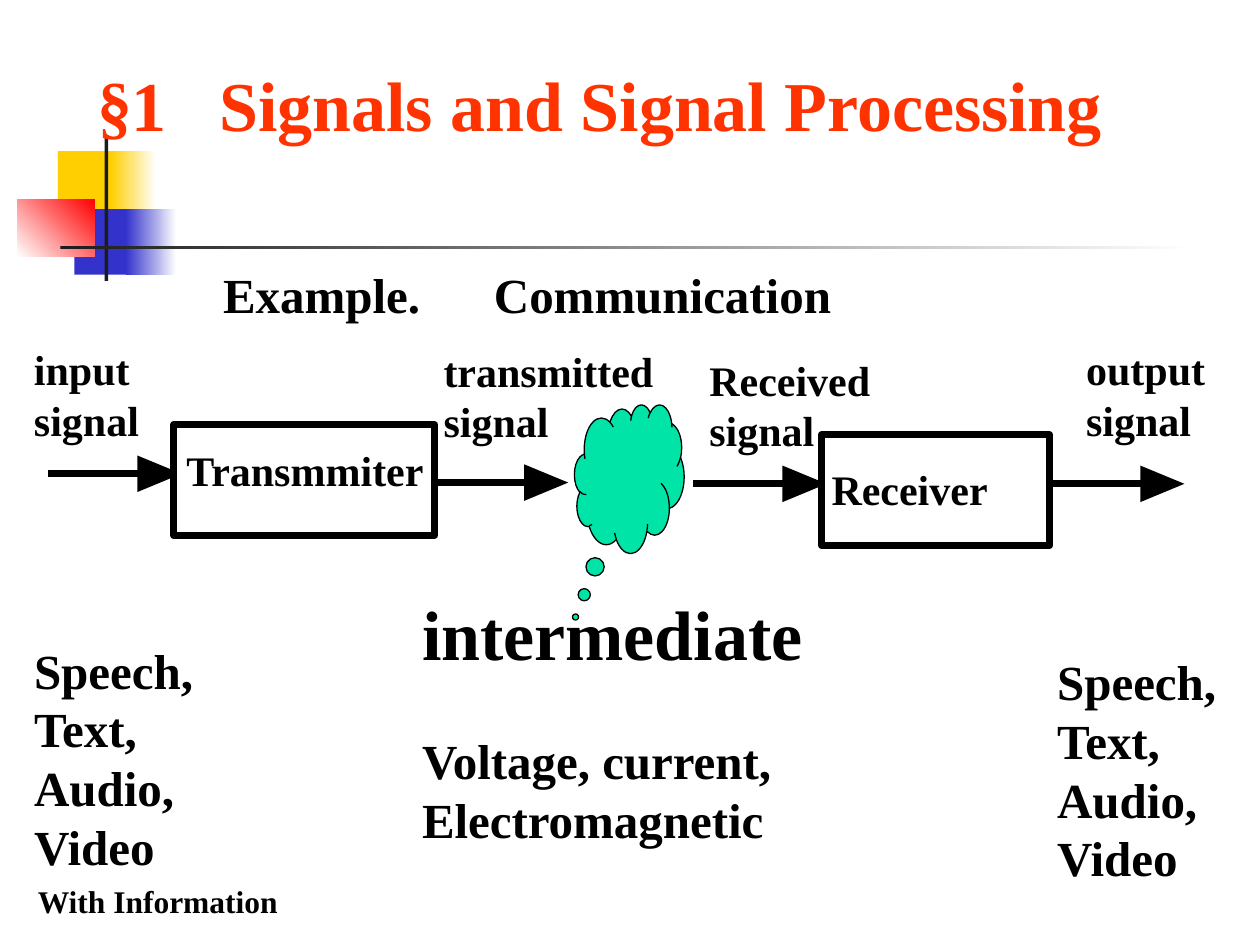
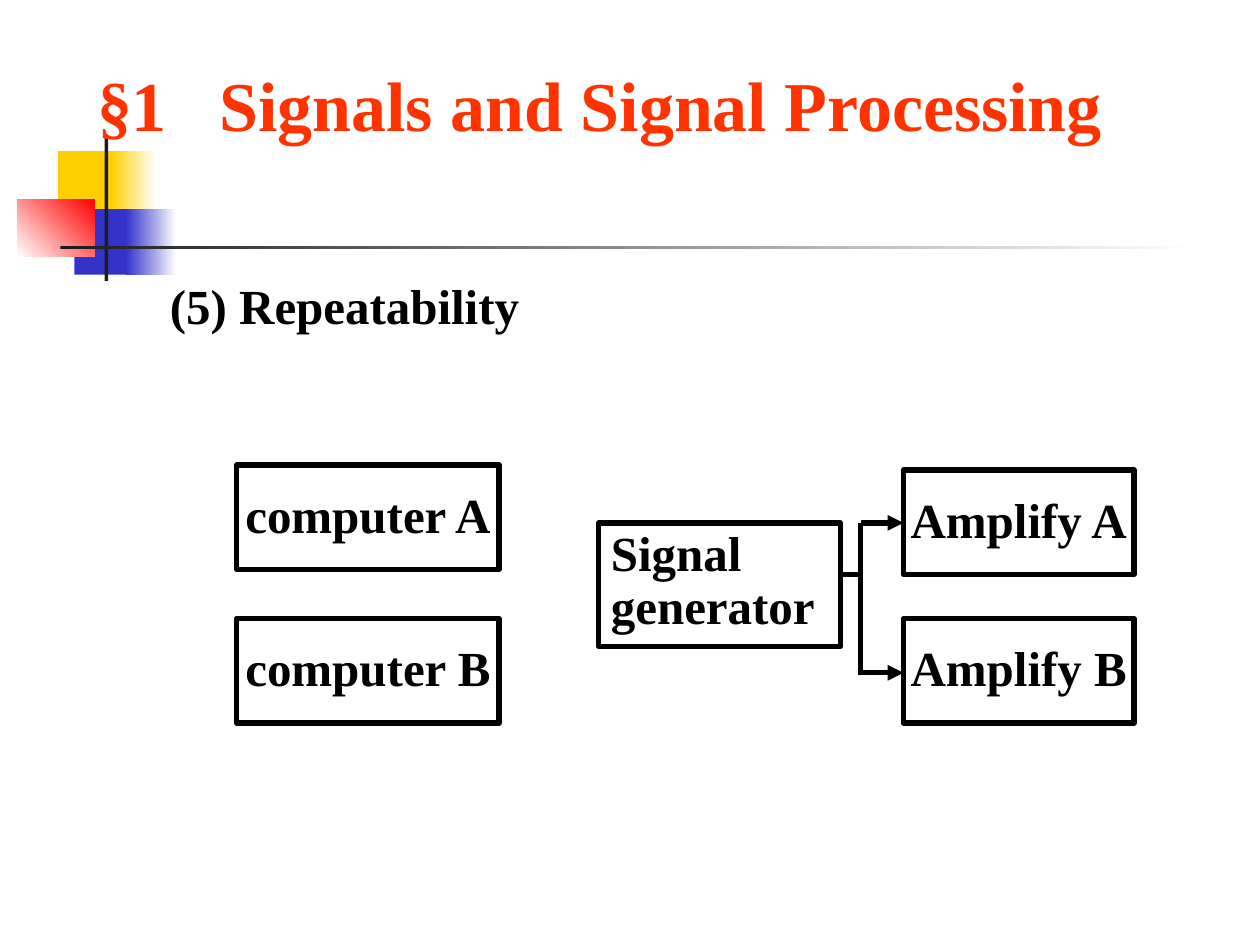
from dataclasses import dataclass

from lxml import etree
from pptx import Presentation
from pptx.dml.color import RGBColor
from pptx.enum.shapes import MSO_CONNECTOR, MSO_SHAPE
from pptx.enum.text import MSO_ANCHOR, MSO_AUTO_SIZE, PP_ALIGN
from pptx.oxml.ns import qn
from pptx.util import Inches, Pt

RECTANGLE, CLOUD = MSO_SHAPE.RECTANGLE, MSO_SHAPE.CLOUD_CALLOUT
STRAIGHT = MSO_CONNECTOR.STRAIGHT
TOP, MIDDLE = MSO_ANCHOR.TOP, MSO_ANCHOR.MIDDLE
LEFT, CENTER = PP_ALIGN.LEFT, PP_ALIGN.CENTER
NO_AUTOFIT = MSO_AUTO_SIZE.NONE


@dataclass(frozen=True)
class Theme:
    font: str = "Times New Roman"
    ink: RGBColor = RGBColor.from_string("000000")
    paper: RGBColor = RGBColor.from_string("FFFFFF")
    title: RGBColor = RGBColor.from_string("FF3300")
    yellow: RGBColor = RGBColor.from_string("FFCF01")
    blue: RGBColor = RGBColor.from_string("3333CC")
    red: RGBColor = RGBColor.from_string("FF0000")
    rule: RGBColor = RGBColor.from_string("1C1C1C")
    cloud: RGBColor = RGBColor.from_string("00E4A8")
    title_size: int = 40
    body_size: int = 28
    label_size: int = 24
    note_size: int = 18
    flow_line: float = 3.88
    diagram_line: float = 3


THEME = Theme()


def write_text(shape, lines, size, color=THEME.ink, inset=(0, 0), align=LEFT,
               anchor=TOP, spacing=1, tab=None):
    """Fill a shape with bold paragraphs; inset is (side, top), tab a stop in inches."""
    frame = shape.text_frame
    frame.word_wrap = True
    frame.auto_size = NO_AUTOFIT
    frame.vertical_anchor = anchor
    frame.margin_left = frame.margin_right = Inches(inset[0])
    frame.margin_top = frame.margin_bottom = Inches(inset[1])
    frame.text = "\n".join(lines)
    for para in frame.paragraphs:
        para.alignment = align
        para.line_spacing = spacing
        para.font.name = THEME.font
        para.font.size = Pt(size)
        para.font.bold = True
        para.font.color.rgb = color
        if tab:
            tabs = etree.Element(qn("a:tabLst"))
            etree.SubElement(tabs, qn("a:tab"), pos=str(Inches(tab)), algn="l")
            para.font._element.addprevious(tabs)


def add_line(slide, start, end, width, arrow=False):
    line = slide.shapes.add_connector(STRAIGHT, *map(Inches, start + end))
    line.line.color.rgb = THEME.ink
    line.line.width = Pt(width)
    if arrow:
        etree.SubElement(line.line._get_or_add_ln(), qn("a:tailEnd"), type="triangle")
    etree.SubElement(line.element.spPr, qn("a:effectLst"))


deck = Presentation()
deck.slide_width, deck.slide_height = Inches(10), Inches(7.5)
title_only = deck.slide_layouts[5]
communication = deck.slides.add_slide(title_only)
repeatability = deck.slides.add_slide(title_only)

# Shared decoration, moved to the master behind every slide
decoration = [
    # place, start colour, end colour (None for solid), angle
    ((0.46, 1.2, 0.48, 0.52), THEME.yellow, None, 0),
    ((0.88, 1.2, 0.36, 0.52), THEME.yellow, THEME.paper, 0),
    ((0.59, 1.66, 0.46, 0.52), THEME.blue, None, 0),
    ((1, 1.66, 0.4, 0.52), THEME.blue, THEME.paper, 0),
    ((0.14, 1.58, 0.61, 0.46), THEME.paper, THEME.red, 45),
    ((0.83, 1.08, 0.03, 1.15), THEME.rule, None, 0),
    ((0.48, 1.95, 9, 0.03), THEME.rule, THEME.paper, 0),
]
for number, (place, start_color, end_color, angle) in enumerate(decoration):
    band = communication.shapes.add_shape(RECTANGLE, *map(Inches, place))
    band.shadow.inherit = False
    band.line.fill.background()
    if end_color is None:
        band.fill.solid()
        band.fill.fore_color.rgb = start_color
    else:
        band.fill.gradient()
        band.fill.gradient_angle = angle
        for stop, color in zip(band.fill.gradient_stops, (start_color, end_color)):
            stop.color.rgb = color
    band.element.nvSpPr.cNvPr.set("id", str(100 + number))
    deck.slide_master.shapes.element.append(band.element)

# Shared title
for slide in deck.slides:
    title = slide.shapes.title
    title.left, title.top, title.width, title.height = map(Inches, (0.67, 0.44, 9.06, 0.77))
    write_text(title, ["§1\tSignals and Signal Processing"], THEME.title_size,
               THEME.title, inset=(0.1, 0.05), tab=0.97)

# Slide 1: communication chain
shaft, head_start, head_length, head_half = 0.74, 0.71, 0.35, 0.145
for left, middle in [(0.38, 3.76), (3.45, 3.83), (5.5, 3.84), (8.34, 3.84)]:
    add_line(communication, (left, middle), (left + shaft, middle), THEME.flow_line)
    back = left + head_start
    outline = communication.shapes.build_freeform(Inches(back), Inches(middle - head_half))
    outline.add_line_segments([
        (Inches(back + head_length), Inches(middle)),
        (Inches(back), Inches(middle + head_half)),
    ])
    head = outline.convert_to_shape()
    head.shadow.inherit = False
    head.fill.solid()
    head.fill.fore_color.rgb = THEME.ink
    head.line.fill.background()

for kind, place, fill, width in [
    (RECTANGLE, (1.38, 3.37, 2.07, 0.88), THEME.paper, THEME.flow_line),
    (RECTANGLE, (6.52, 3.45, 1.81, 0.88), THEME.paper, THEME.flow_line),
    (CLOUD, (4.56, 3.21, 0.87, 1.18), THEME.cloud, 0.75),
]:
    stage = communication.shapes.add_shape(kind, *map(Inches, place))
    stage.shadow.inherit = False
    stage.fill.solid()
    stage.fill.fore_color.rgb = fill
    stage.line.color.rgb = THEME.ink
    stage.line.width = Pt(width)
    if kind == CLOUD:
        stage.adjustments[0], stage.adjustments[1] = -0.49, 0.93

media = ["Speech,Text,", "Audio,", "Video"]
for place, lines, size, tab in [
    ((1.77, 2.1, 4.85, 0.47), ["Example.\tCommunication"], THEME.body_size, 2.15),
    ((0.27, 2.73, 0.86, 0.8), ["input", "signal"], THEME.label_size, None),
    ((3.52, 2.74, 1.75, 0.8), ["transmitted", "signal"], THEME.label_size, None),
    ((5.63, 2.81, 1.58, 0.8), ["Received", "signal"], THEME.label_size, None),
    ((8.62, 2.73, 0.98, 0.8), ["output", "signal"], THEME.label_size, None),
    ((1.48, 3.53, 2.07, 0.4), ["Transmmiter"], THEME.label_size, None),
    ((6.6, 3.68, 1.57, 0.4), ["Receiver"], THEME.label_size, None),
    ((3.35, 4.69, 3.06, 0.67), ["intermediate"], THEME.title_size, None),
    ((0.27, 5.08, 1.38, 1.87), media, THEME.body_size, None),
    ((3.35, 5.8, 3.23, 0.93), ["Voltage, current,", "Electromagnetic"], THEME.body_size, None),
    ((8.39, 5.17, 1.38, 1.87), media, THEME.body_size, None),
    ((0.3, 7, 1.95, 0.3), ["With Information"], THEME.note_size, None),
]:
    label = communication.shapes.add_textbox(*map(Inches, place))
    write_text(label, lines, size, tab=tab)

# Slide 2: repeatability
heading = repeatability.shapes.add_textbox(*map(Inches, (1.25, 2.19, 5.42, 0.52)))
write_text(heading, ["(5) Repeatability"], THEME.body_size, inset=(0.1, 0.05), spacing=0.9)

centered = dict(align=CENTER, anchor=MIDDLE)
for place, text, layout in [
    ((7.17, 3.73, 1.83, 0.83), "Amplify A", centered),
    ((7.17, 4.91, 1.83, 0.83), "Amplify B", centered),
    ((4.75, 4.15, 1.92, 0.98), "Signal generator", dict(inset=(0.1, 0.05))),
    ((1.88, 3.69, 2.08, 0.83), "computer A", centered),
    ((1.88, 4.91, 2.08, 0.83), "computer B", centered),
]:
    box = repeatability.shapes.add_shape(RECTANGLE, *map(Inches, place))
    box.shadow.inherit = False
    box.fill.solid()
    box.fill.fore_color.rgb = THEME.paper
    box.line.color.rgb = THEME.ink
    box.line.width = Pt(THEME.diagram_line)
    write_text(box, [text], THEME.body_size, spacing=0.9, **layout)

branch = 6.83
for start, end, arrow in [
    ((branch, 4.15), (branch, 5.36), False),
    ((branch, 4.15), (7.17, 4.15), True),
    ((branch, 5.34), (7.17, 5.34), True),
    ((6.67, 4.56), (branch, 4.56), False),
]:
    add_line(repeatability, start, end, THEME.diagram_line, arrow)

deck.save("out.pptx")
